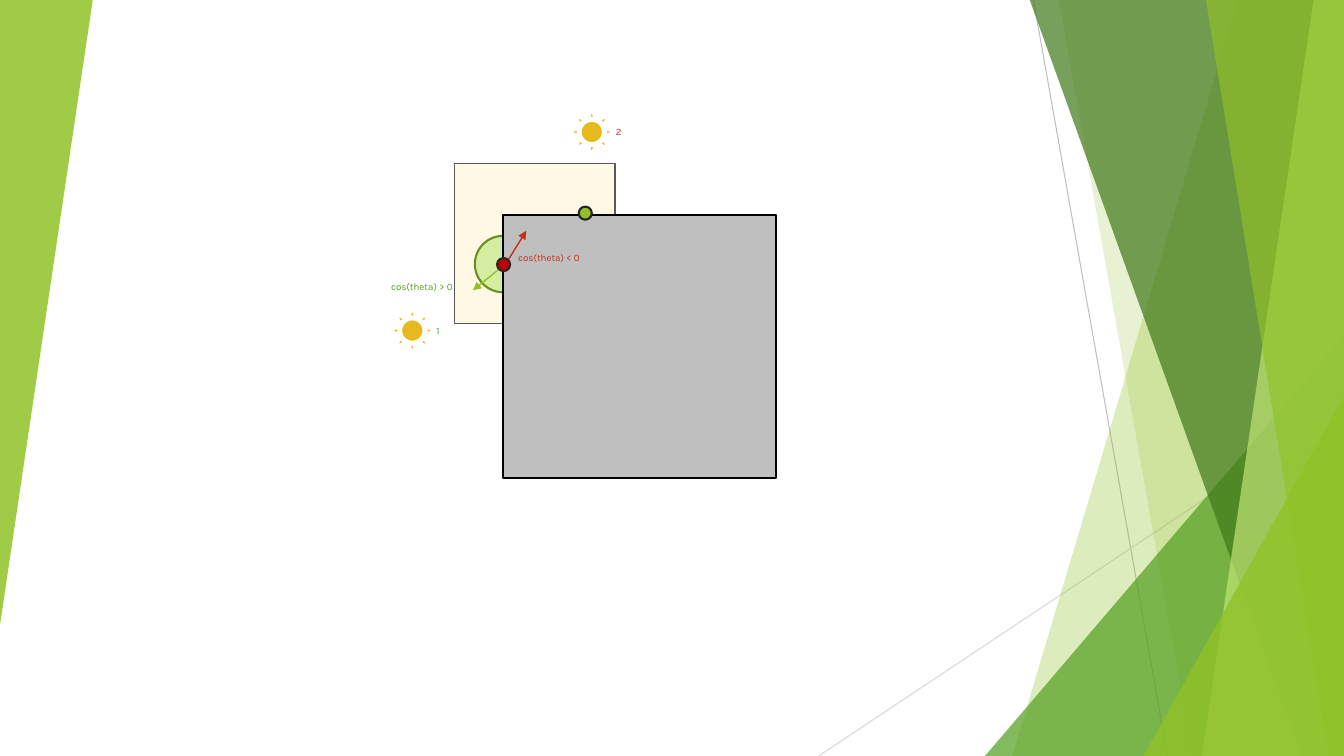
"""Build a slide showing how the cosine sign tells which sun lights a surface point."""
from lxml.etree import SubElement
from pptx import Presentation
from pptx.dml.color import RGBColor
from pptx.enum.shapes import MSO_CONNECTOR, MSO_SHAPE as SHAPE
from pptx.enum.text import MSO_AUTO_SIZE
from pptx.oxml.ns import qn
from pptx.util import Inches, Pt

WIDTH, HEIGHT = 13.33, 7.5
TOP = -0.01
LIME, GREEN, RED = "90C226", "54A021", "C42F1A"
FONT, FONT_SIZE = "Karla", 7

BACK_LINES = [
    ((10.25, 0), (11.58, HEIGHT), "BFBFBF"),
    ((WIDTH, 4.03), (8.12, HEIGHT), "D9D9D9"),
]
# name, geometry, colour, opacity
BANDS = [
    ("band", (12.28, 10.04), LIME, 30),
    ("band", (10.5, 11.83), LIME, 20),
    ("triangle", (9.77, 3.33, 3.56, 4.17), GREEN, 72),
    ("band", (10.21, 12.91), "3F7819", 70),
    ("band", (13.03, 11.92), "C0E474", 70),
    ("band", (11.96, 13.18), LIME, 65),
    ("triangle", (11.34, 3.93, 1.99, 3.57), LIME, 80),
]
LEFT_TRIANGLE = (0, 0, 0.92, 6.2)

LIT_AREA = (4.51, 1.62, 1.59, 1.59)
HEMISPHERE = (4.71, 2.34, 0.56, 0.56)
CUBE = (4.99, 2.13, 2.71, 2.61)
SUN_SIZE, DOT_SIZE = 0.46, 0.13
SUNS = [(5.64, 1.08), (3.86, 3.05)]
DOTS = [(5.74, 2.05, LIME), (4.93, 2.56, "C00000")]
ARROWS = [
    ((4.95, 2.67), (4.69, 2.88), LIME),
    ((5.04, 2.58), (5.22, 2.29), RED),
]
LABELS = [
    ("2", 6.01, 1.2, RED),
    ("1", 4.23, 3.17, GREEN),
    ("cos(theta) > 0", 3.78, 2.74, GREEN),
    ("cos(theta) < 0", 5.04, 2.45, RED),
]
LABEL_SIZE = (2.01, 0.22)


def paint(color_format, color):
    color_format.rgb = RGBColor.from_string(color)


def style(shape, fill, opacity=100, line=None, line_width=0.75):
    shape.shadow.inherit = False
    shape.fill.solid()
    paint(shape.fill.fore_color, fill)
    if opacity < 100:
        color = shape.fill._xPr.find(qn("a:solidFill"))[0]
        SubElement(color, qn("a:alpha")).set("val", str(opacity * 1000))
    if line:
        paint(shape.line.color, line)
        shape.line.width = Pt(line_width)
    else:
        shape.line.fill.background()
    return shape


def add_shape(slide, kind, box, fill, **options):
    shape = slide.shapes.add_shape(kind, *map(Inches, box))
    return style(shape, fill, **options)


def add_triangle(slide, box, fill, opacity):
    triangle = add_shape(slide, SHAPE.ISOSCELES_TRIANGLE, box, fill, opacity=opacity)
    triangle.adjustments[0] = 1
    return triangle


def add_band(slide, edge, fill, opacity):
    top_x, bottom_x = edge
    corners = [(top_x, TOP), (WIDTH, TOP), (WIDTH, HEIGHT), (bottom_x, HEIGHT)]
    points = [(Inches(x), Inches(y)) for x, y in corners]
    builder = slide.shapes.build_freeform(*points[0], scale=1.0)
    builder.add_line_segments(points[1:], close=True)
    style(builder.convert_to_shape(), fill, opacity)


def add_line(slide, start, end, color, width, arrow=False):
    ends = map(Inches, (*start, *end))
    line = slide.shapes.add_connector(MSO_CONNECTOR.STRAIGHT, *ends)
    paint(line.line.color, color)
    line.line.width = Pt(width)
    if arrow:
        SubElement(line.line._get_or_add_ln(), qn("a:tailEnd")).set("type", "triangle")
    SubElement(line._element.spPr, qn("a:effectLst"))


def add_label(slide, text, left, top, color):
    box = slide.shapes.add_textbox(*map(Inches, (left, top, *LABEL_SIZE)))
    frame = box.text_frame
    frame.word_wrap = True
    frame.auto_size = MSO_AUTO_SIZE.SHAPE_TO_FIT_TEXT
    run = frame.paragraphs[0].add_run()
    run.text = text
    run.font.name = FONT
    run.font.size = Pt(FONT_SIZE)
    paint(run.font.color, color)


def add_backdrop(slide):
    for start, end, color in BACK_LINES:
        add_line(slide, start, end, color, 0.75)
    builders = {"band": add_band, "triangle": add_triangle}
    for kind, geometry, color, opacity in BANDS:
        builders[kind](slide, geometry, color, opacity)
    add_triangle(slide, LEFT_TRIANGLE, LIME, 85).rotation = 180


def add_diagram(slide):
    add_shape(slide, SHAPE.RECTANGLE, LIT_AREA, "FFC000", opacity=10, line="595959")
    add_shape(slide, SHAPE.FLOWCHART_CONNECTOR, HEMISPHERE, "D5EDA2",
              line="6B901C", line_width=1.5)
    add_shape(slide, SHAPE.RECTANGLE, CUBE, "BFBFBF", line="000000", line_width=1.5)
    for left, top in SUNS:
        add_shape(slide, SHAPE.SUN, (left, top, SUN_SIZE, SUN_SIZE), "E6B91E",
                  line="FFFFFF", line_width=2)
    for label in LABELS:
        add_label(slide, *label)
    for start, end, color in ARROWS:
        add_line(slide, start, end, color, 1, arrow=True)
    for left, top, color in DOTS:
        add_shape(slide, SHAPE.OVAL, (left, top, DOT_SIZE, DOT_SIZE), color,
                  line="262626", line_width=1.5)


def main():
    presentation = Presentation()
    presentation.slide_width = Inches(WIDTH)
    presentation.slide_height = Inches(HEIGHT)
    slide = presentation.slides.add_slide(presentation.slide_layouts[6])
    add_backdrop(slide)
    add_diagram(slide)
    presentation.save("out.pptx")


if __name__ == "__main__":
    main()
